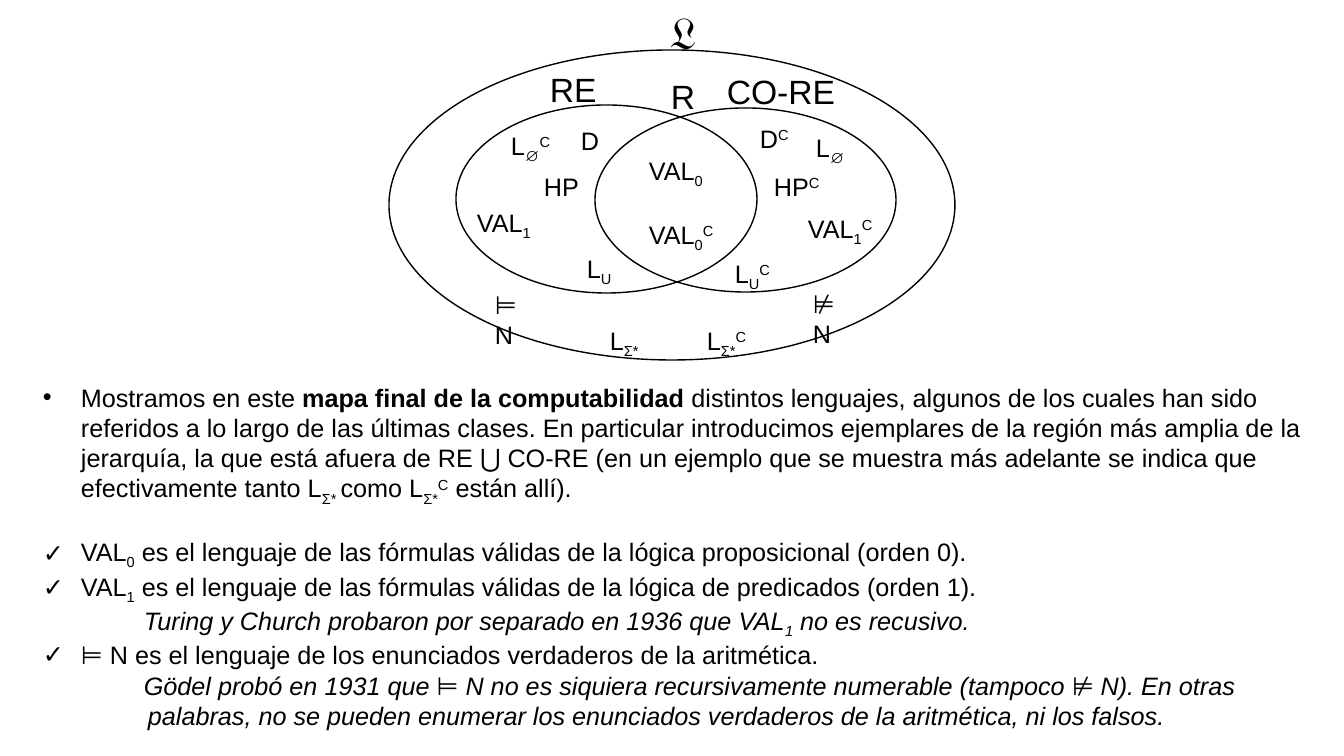
from pptx import Presentation
from pptx.dml.color import RGBColor
from pptx.enum.shapes import MSO_SHAPE
from pptx.enum.text import MSO_AUTO_SIZE
from pptx.oxml.ns import qn
from pptx.util import Emu, Pt
from lxml import etree

BLACK = RGBColor(0, 0, 0)
FONT = "Arial"

# Text parts are split by "|"; a leading mark sets the style of a part.
STYLES = {
    "_": {"baseline": "-25000"},
    "^": {"baseline": "30000"},
    "!": {"b": "1"},
}

# text, left, top, width
LANGUAGES = [
    ("L|_Ʃ*", 600, 320, 51),
    ("L|_Ʃ*|^C", 697, 320, 64),
    ("L|_∅|^C", 501, 125, 61),
    ("L|_∅", 806, 127, 55),
    ("VAL|_0", 639, 150, 76),
    ("VAL|_0|^C", 639, 214, 88),
    ("VAL|_1", 467, 202, 76),
    ("VAL|_1|^C", 798, 208, 88),
    ("HP", 534, 166, 55),
    ("D", 571, 120, 38),
    ("L|_U", 577, 248, 46),
    ("D|^C", 750, 118, 51),
    ("HP|^C", 764, 166, 68),
    ("L|_U|^C", 725, 253, 58),
]
ARITHMETIC = [("⊨ N", 485, 284, 62), ("⊭ N", 803, 283, 62)]
CLASSES = [("R", 661, 71, 45), ("RE", 540, 64, 68), ("CO-RE", 717, 66, 140)]
UNIVERSE = [("𝔏", 660, 0, 48)]

# left, top, width, height
REGIONS = [(456, 105, 301, 188), (595, 108, 301, 184), (389, 50, 566, 310)]

# bullet, left margin, space before in points, italic, text
NOTES = [
    ("•", 38, 0, False,
     "Mostramos en este |!mapa final de la computabilidad| distintos lenguajes, "
     "algunos de los cuales han sido referidos a lo largo de las últimas clases. "
     "En particular introducimos ejemplares de la región más amplia de la jerarquía, "
     "la que está afuera de RE ⋃ CO-RE (en un ejemplo que se muestra más adelante "
     "se indica que efectivamente tanto L|_Ʃ* |como L|_Ʃ*|^C| están allí)."),
    ("✓", 38, 21, False,
     "VAL|_0| es el lenguaje de las fórmulas válidas de la lógica proposicional (orden 0)."),
    ("✓", 38, 0, False,
     "VAL|_1| es el lenguaje de las fórmulas válidas de la lógica de predicados (orden 1)."),
    (None, 101, 0, True,
     "Turing y Church probaron por separado en 1936 que VAL|_1| no es recusivo."),
    ("✓", 38, 0, False,
     "⊨ N es el lenguaje de los enunciados verdaderos de la aritmética."),
    (None, 101, 0, True,
     "Gödel probó en 1931 que ⊨ N no es siquiera recursivamente numerable "
     "(tampoco ⊭ N). En otras"),
    (None, 105, 0, True,
     "palabras, no se pueden enumerar los enunciados verdaderos de la aritmética, "
     "ni los falsos."),
]


def px(n):
    return Emu(round(n * 914400 / 100.8))


def add_runs(p, text, size, italic=False):
    for part in text.split("|"):
        style = STYLES.get(part[0], {})
        r = p.add_run()
        r.text = part[1:] if style else part
        fmt = {"name": FONT, "size": Pt(size), "italic": italic}
        for key, value in fmt.items():
            setattr(r.font, key, value)
        r.font.color.rgb = BLACK
        for key, value in style.items():
            r.font._element.set(key, value)


def add_box(s, left, top, width, height, wrap):
    tf = s.shapes.add_textbox(px(left), px(top), px(width), px(height)).text_frame
    tf.word_wrap = wrap
    tf.auto_size = MSO_AUTO_SIZE.SHAPE_TO_FIT_TEXT
    return tf


def set_bullet(p, bullet, margin):
    """Give a paragraph its left margin and, if any, a hanging bullet."""
    pPr = p._p.get_or_add_pPr()
    pPr.set("marL", str(px(margin)))
    pPr.set("indent", str(-px(margin) if bullet else 0))
    if bullet:
        font = etree.SubElement(pPr, qn("a:buFont"))
        font.set("typeface", FONT)
        etree.SubElement(pPr, qn("a:buChar")).set("char", bullet)
    else:
        etree.SubElement(pPr, qn("a:buNone"))


def add_labels(s, labels, size, height, wrap=False):
    for text, left, top, width in labels:
        tf = add_box(s, left, top, width, height, wrap)
        add_runs(tf.paragraphs[0], text, size)


def add_notes(s):
    tf = add_box(s, 33, 377, 1278, 346, True)
    for i, (bullet, margin, before, italic, text) in enumerate(NOTES):
        p = tf.add_paragraph() if i else tf.paragraphs[0]
        if before:
            p.space_before = Pt(before)
        set_bullet(p, bullet, margin)
        add_runs(p, text, 18, italic)


def add_regions(s):
    for box in REGIONS:
        sp = s.shapes.add_shape(MSO_SHAPE.FLOWCHART_CONNECTOR, *map(px, box))
        sp.shadow.inherit = False
        sp.fill.background()
        sp.line.color.rgb = BLACK
        sp.line.width = Pt(1)


def main():
    prs = Presentation()
    prs.slide_width, prs.slide_height = px(1344), px(756)
    s = prs.slides.add_slide(prs.slide_layouts[6])
    add_labels(s, LANGUAGES, 18, 40)
    add_labels(s, ARITHMETIC, 18, 70, wrap=True)
    add_notes(s)
    add_labels(s, UNIVERSE, 32, 64, wrap=True)
    add_labels(s, CLASSES, 24, 50)
    add_regions(s)
    prs.save("out.pptx")


if __name__ == "__main__":
    main()
